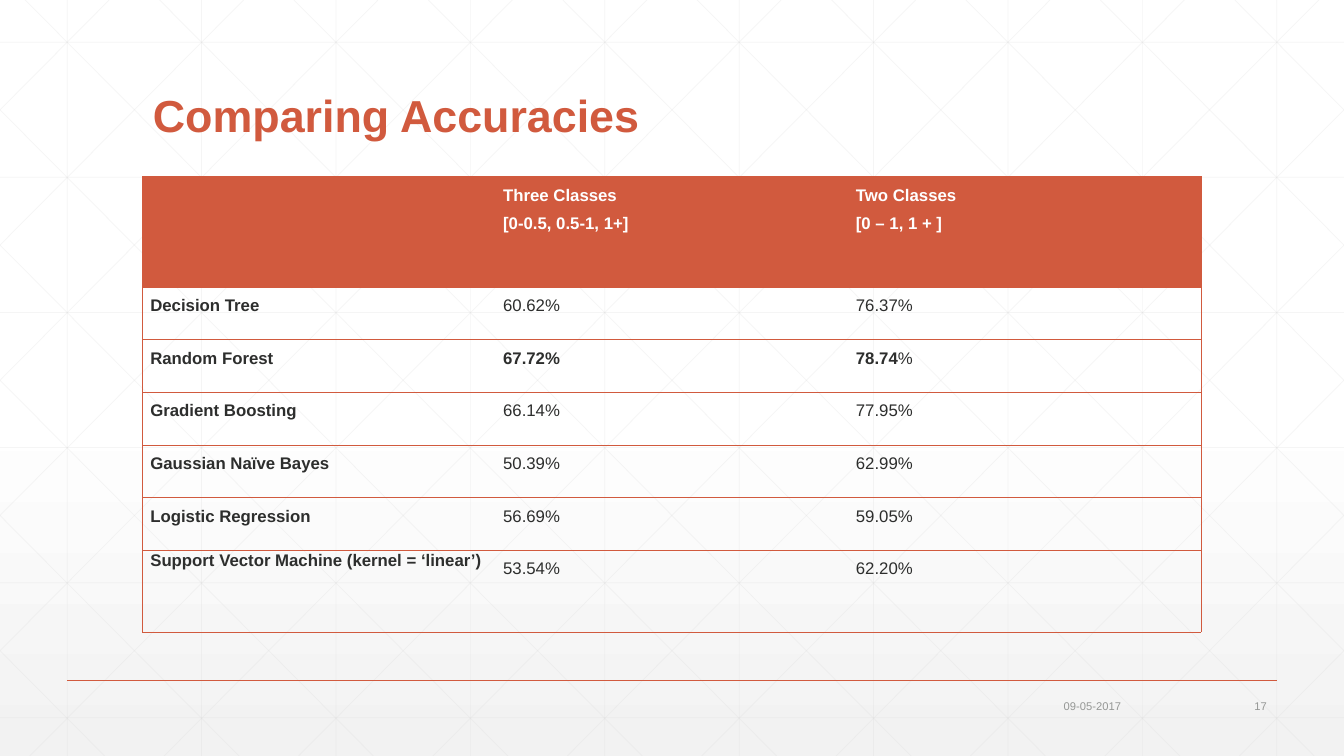
"""Build a slide that compares classifier accuracies in a table."""
import pptx
import pptx.dml.color
import pptx.enum.shapes
import pptx.enum.text
import pptx.oxml.ns
import pptx.oxml.xmlchemy
import pptx.util
from lxml import etree

Pt = pptx.util.Pt
Align = pptx.enum.text.PP_ALIGN
Anchor = pptx.enum.text.MSO_ANCHOR
qn = pptx.oxml.ns.qn

theme = {
    "font": "Arial", "accent": "D15A3E", "ink": "2D2E2D", "white": "FFFFFF",
    "shade": "F2F2F2", "grid": "D9D9D9", "muted": "959795",
    "title": 32, "cell": 12, "foot": 8,
}
rgb = {key: pptx.dml.color.RGBColor.from_string(theme[key])
       for key in ("accent", "ink", "white", "shade", "grid", "muted")}
wide, high = 960, 540


def write(para, text, size, color, bold=False):
    run = para.add_run()
    run.text = text
    run.font.name = theme["font"]
    run.font.size = Pt(theme[size])
    run.font.color.rgb = rgb[color]
    run.font.bold = bold


def draw(x1, y1, x2, y2, color, width, alpha=100):
    line = slide.shapes.add_connector(
        pptx.enum.shapes.MSO_CONNECTOR.STRAIGHT, Pt(x1), Pt(y1), Pt(x2), Pt(y2))
    line.line.color.rgb = rgb[color]
    line.line.width = Pt(width)
    props = line.element.spPr
    if alpha < 100:
        tint = props.find(".//" + qn("a:srgbClr"))
        etree.SubElement(tint, qn("a:alpha"), val=str(alpha * 1000))
    etree.SubElement(props, qn("a:effectLst"))


deck = pptx.Presentation()
deck.slide_width, deck.slide_height = Pt(wide), Pt(high)
slide = deck.slides.add_slide(deck.slide_layouts[5])

back = slide.background.fill
back.gradient()
back.gradient_angle = 270
for stop, color, place in zip(back.gradient_stops, ("white", "shade"), (0.53, 1)):
    stop.color.rgb = rgb[color]
    stop.position = place

for i in range(10):
    x = 48 + 96 * i
    draw(x, 0, x, high, "grid", 0.5, 25)
for i in range(6):
    y = 30.2 + 96.5 * i
    draw(0, y, wide, y, "grid", 0.5, 25)
slope = 0.994
for i in range(-5, 10):
    start = 18 + 96 * i
    x1, x2 = max(start, 0), min(start + slope * high, wide)
    y1, y2 = (x1 - start) / slope, (x2 - start) / slope
    draw(x1, y1, x2, y2, "grid", 0.5, 25)
    draw(wide - x1, y1, wide - x2, y2, "grid", 0.5, 25)
draw(48, 486, 912, 486, "accent", 1)

title = slide.shapes.title
title.element.getparent().append(title.element)
title.left, title.top, title.width, title.height = Pt(102), Pt(15), Pt(756), Pt(90)
frame = title.text_frame
frame.word_wrap = True
frame.vertical_anchor = Anchor.BOTTOM
para = frame.paragraphs[0]
para.alignment = Align.LEFT
para.line_spacing = 0.9
write(para, "Comparing Accuracies", "title", "accent", True)

heads = ["", "Three Classes\n[0-0.5, 0.5-1, 1+]", "Two Classes\n[0 – 1, 1 + ]"]
scores = [
    ["Decision Tree", "60.62%", "76.37%"],
    ["Random Forest", "67.72%", "78.74%"],
    ["Gradient Boosting", "66.14%", "77.95%"],
    ["Gaussian Naïve Bayes", "50.39%", "62.99%"],
    ["Logistic Regression", "56.69%", "59.05%"],
    ["Support Vector Machine (kernel = ‘linear’)", "53.54%", "62.20%"],
]
rows = [heads] + scores
tall = [79] + [37.6] * 5 + [58.4]
best, last = 2, len(rows) - 1
table = slide.shapes.add_table(
    len(rows), 3, Pt(102), Pt(126), Pt(756), Pt(sum(tall))).table
table.first_row = table.horz_banding = False
style = table.columns[0].width = Pt(252)
for col in table.columns:
    col.width = Pt(252)
for r, texts in enumerate(rows):
    table.rows[r].height = Pt(tall[r])
    for c, text in enumerate(texts):
        cell = table.cell(r, c)
        cell.margin_left = cell.margin_right = Pt(5.4)
        cell.margin_top = cell.margin_bottom = 0
        props = cell.fill and cell._tc.get_or_add_tcPr()
        for side in "LRTB":
            edge = etree.SubElement(props, qn("a:ln" + side), w=str(Pt(0.5)))
            if side == "L" and c > 0 or side == "R" and c < 2:
                etree.SubElement(edge, qn("a:noFill"))
            else:
                paint = etree.SubElement(edge, qn("a:solidFill"))
                etree.SubElement(paint, qn("a:srgbClr"), val=theme["accent"])
        if r == 0:
            cell.fill.solid()
            cell.fill.fore_color.rgb = rgb["accent"]
        else:
            cell.fill.background()
        for n, part in enumerate(text.split("\n")):
            frame = cell.text_frame
            para = frame.add_paragraph() if n else frame.paragraphs[0]
            label = r == last and c == 0
            para.alignment = Align.LEFT if label else Align.JUSTIFY
            para.line_spacing = 1.07 if label else 1.5
            color = "ink" if r else "white"
            bold = r in (0, best) or c == 0
            if r == best and c == 2:
                write(para, part[:-1], "cell", color, True)
                write(para, part[-1], "cell", color)
            elif part:
                write(para, part, "cell", color, bold)

for left, width, text in ((731.5, 76.5, "09-05-2017"), (840, 72, "17")):
    box = slide.shapes.add_textbox(Pt(left), Pt(495.5), Pt(width), Pt(17))
    frame = box.text_frame
    frame.word_wrap = True
    frame.vertical_anchor = Anchor.MIDDLE
    para = frame.paragraphs[0]
    para.alignment = Align.RIGHT
    write(para, text, "foot", "muted")

deck.save("out.pptx")
